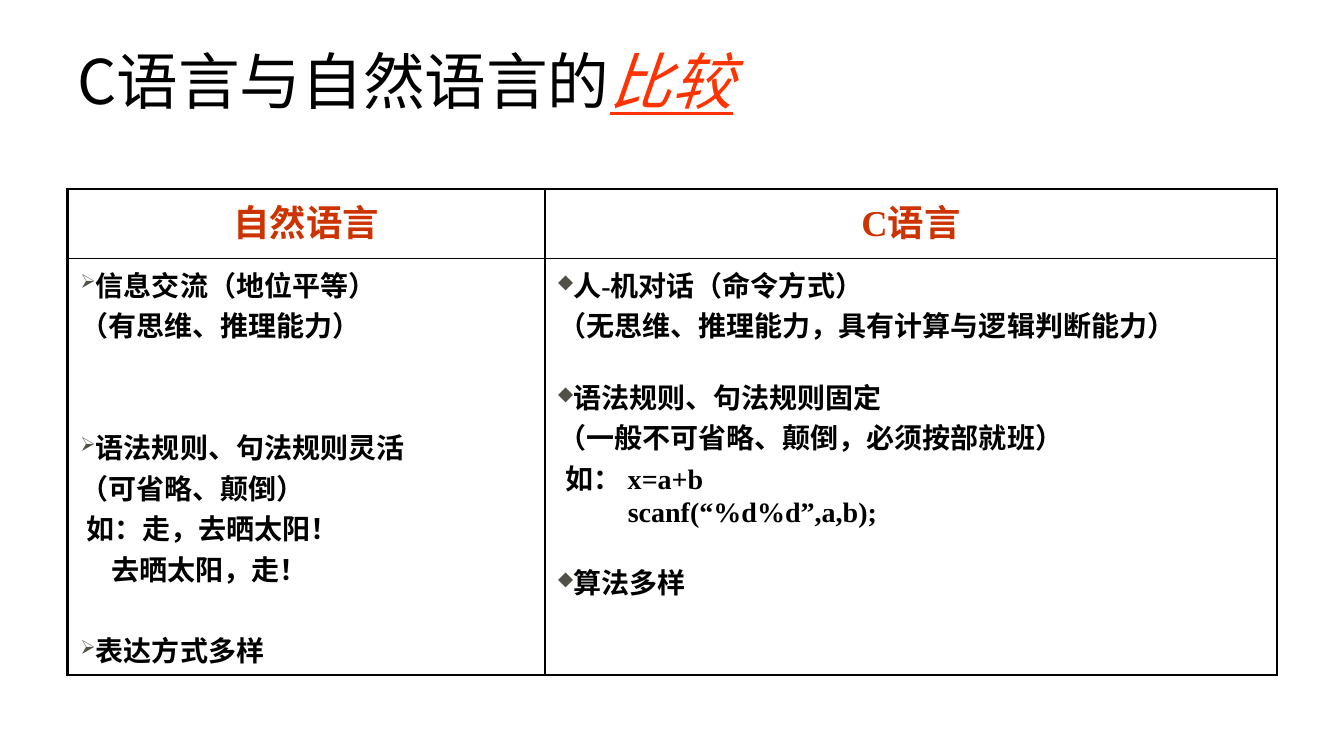
from dataclasses import dataclass

from lxml.etree import SubElement
from pptx import Presentation
from pptx.dml.color import RGBColor
from pptx.enum.text import MSO_ANCHOR, MSO_AUTO_SIZE, PP_ALIGN
from pptx.oxml.ns import qn
from pptx.util import Inches, Pt

SANS, SERIF = "Noto Sans CJK SC", "Times New Roman"
BLACK, RUST, ORANGE, OLIVE = "000000", "CC3300", "FF3300", "505046"
OUTER, INNER = 2.25, 1.0

deck = Presentation()
deck.slide_width, deck.slide_height = Inches(13.33), Inches(7.5)


@dataclass
class Line:
    text: str
    bullet: bool = False
    gap: float = 0  # points above the line
    indent: float = 0  # inches


@dataclass
class Column:
    heading: str
    font: str
    bullet: str
    width: float  # percent of the slide
    lines: list[Line]


COLUMNS = [
    Column("自然语言", SANS, "➢", 35.56, [
        Line("信息交流（地位平等）", bullet=True),
        Line("（有思维、推理能力）"),
        Line("语法规则、句法规则灵活", bullet=True, gap=58),
        Line("（可省略、颠倒）"),
        Line("如：走，去晒太阳！", indent=0.06),
        Line("去晒太阳，走！", indent=0.31),
        Line("表达方式多样", bullet=True, gap=29),
    ]),
    Column("C语言", SERIF, "◆", 54.46, [
        Line("人-机对话（命令方式）", bullet=True),
        Line("（无思维、推理能力，具有计算与逻辑判断能力）"),
        Line("语法规则、句法规则固定", bullet=True, gap=22),
        Line("（一般不可省略、颠倒，必须按部就班）"),
        Line("如： x=a+b", indent=0.07),
        Line("scanf(“%d%d”,a,b);", indent=0.69),
        Line("算法多样", bullet=True, gap=23),
    ]),
]
ROW_HEIGHTS = [9.2, 55.1]  # percent of the slide


def across(percent: float) -> int:
    return round(deck.slide_width * percent / 100)


def down(percent: float) -> int:
    return round(deck.slide_height * percent / 100)


def colour(code: str) -> RGBColor:
    return RGBColor.from_string(code)


def add_span(para, text: str, font: str, code: str, **formats) -> None:
    span = para.add_run()
    span.text = text
    span.font.name = font
    span.font.color.rgb = colour(code)
    for name, value in formats.items():
        setattr(span.font, name, value)
    SubElement(span.font._element, qn("a:ea"), typeface=SANS)


def add_bullet(para, mark: str) -> None:
    properties = para._p.get_or_add_pPr()
    tint = SubElement(properties, qn("a:buClr"))
    SubElement(tint, qn("a:srgbClr"), val=OLIVE)
    SubElement(properties, qn("a:buSzPct"), val="70000")
    SubElement(properties, qn("a:buChar"), char=mark)


def frame_cell(cell, row: int, column: int) -> None:
    sides = {
        "lnL": column == 0,
        "lnR": column == len(COLUMNS) - 1,
        "lnT": row == 0,
        "lnB": row == len(ROW_HEIGHTS) - 1,
    }
    properties = cell._tc.get_or_add_tcPr()
    for side, is_outer in sides.items():
        width = Pt(OUTER if is_outer else INNER)
        border = SubElement(properties, qn(f"a:{side}"), w=str(width))
        fill = SubElement(border, qn("a:solidFill"))
        SubElement(fill, qn("a:srgbClr"), val=BLACK)
    cell.fill.background()
    margins = {"margin_left": 0.13, "margin_right": 0.13,
               "margin_top": 0.05, "margin_bottom": 0.05}
    for name, value in margins.items():
        setattr(cell, name, Inches(value))


def write_heading(cell, column: Column) -> None:
    para = cell.text_frame.paragraphs[0]
    para.alignment = PP_ALIGN.CENTER
    add_span(para, column.heading, column.font, RUST, size=Pt(26), bold=True)


def write_lines(cell, column: Column) -> None:
    frame = cell.text_frame
    for number, line in enumerate(column.lines):
        para = frame.add_paragraph() if number else frame.paragraphs[0]
        para.space_before = Pt(line.gap)
        para._p.get_or_add_pPr().set("marL", str(Inches(line.indent)))
        if line.bullet:
            add_bullet(para, column.bullet)
        add_span(para, line.text, column.font, BLACK, size=Pt(20), bold=True)


def add_title(page) -> None:
    title = page.shapes.title
    place = {"left": across(5), "top": down(1.73),
             "width": across(82.5), "height": down(18.93)}
    for name, value in place.items():
        setattr(title, name, value)
    frame = title.text_frame
    frame.auto_size = MSO_AUTO_SIZE.NONE
    frame.vertical_anchor = MSO_ANCHOR.MIDDLE
    para = frame.paragraphs[0]
    para.alignment = PP_ALIGN.LEFT
    para.line_spacing = 0.9
    add_span(para, "C语言与自然语言的", SANS, BLACK, size=Pt(44))
    add_span(para, "比较", SANS, ORANGE, size=Pt(44), italic=True, underline=True)


def add_comparison(page) -> None:
    table = page.shapes.add_table(
        len(ROW_HEIGHTS), len(COLUMNS), across(5), down(25),
        across(sum(column.width for column in COLUMNS)), down(sum(ROW_HEIGHTS)),
    ).table
    table.first_row = table.horz_banding = False
    for row, height in enumerate(ROW_HEIGHTS):
        table.rows[row].height = down(height)
    for index, column in enumerate(COLUMNS):
        table.columns[index].width = across(column.width)
        for row, write in enumerate((write_heading, write_lines)):
            cell = table.cell(row, index)
            frame_cell(cell, row, index)
            write(cell, column)


def main() -> None:
    # Title-only page
    page = deck.slides.add_slide(deck.slide_layouts[5])
    add_title(page)
    # Two-column comparison
    add_comparison(page)
    deck.save("out.pptx")


if __name__ == "__main__":
    main()
